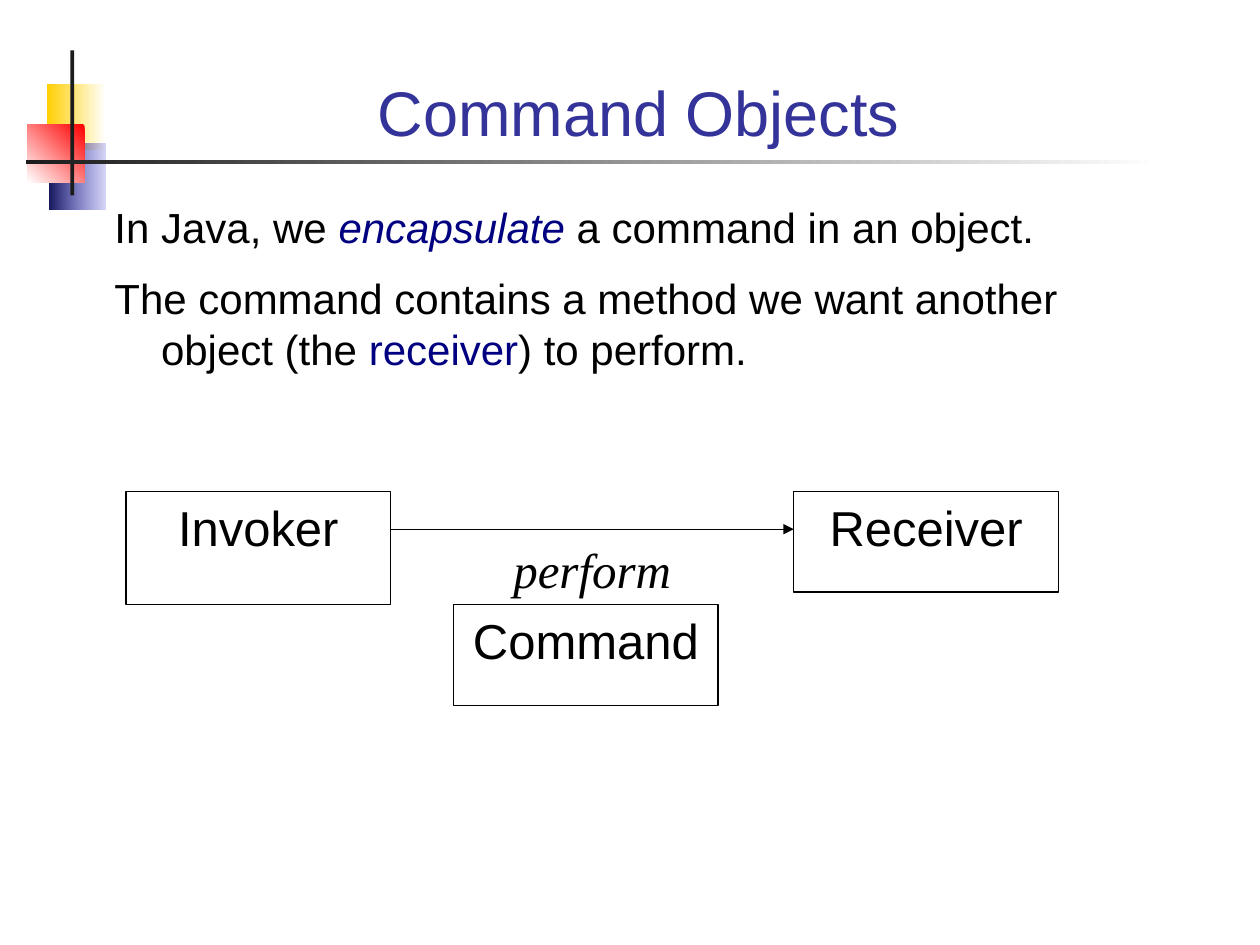
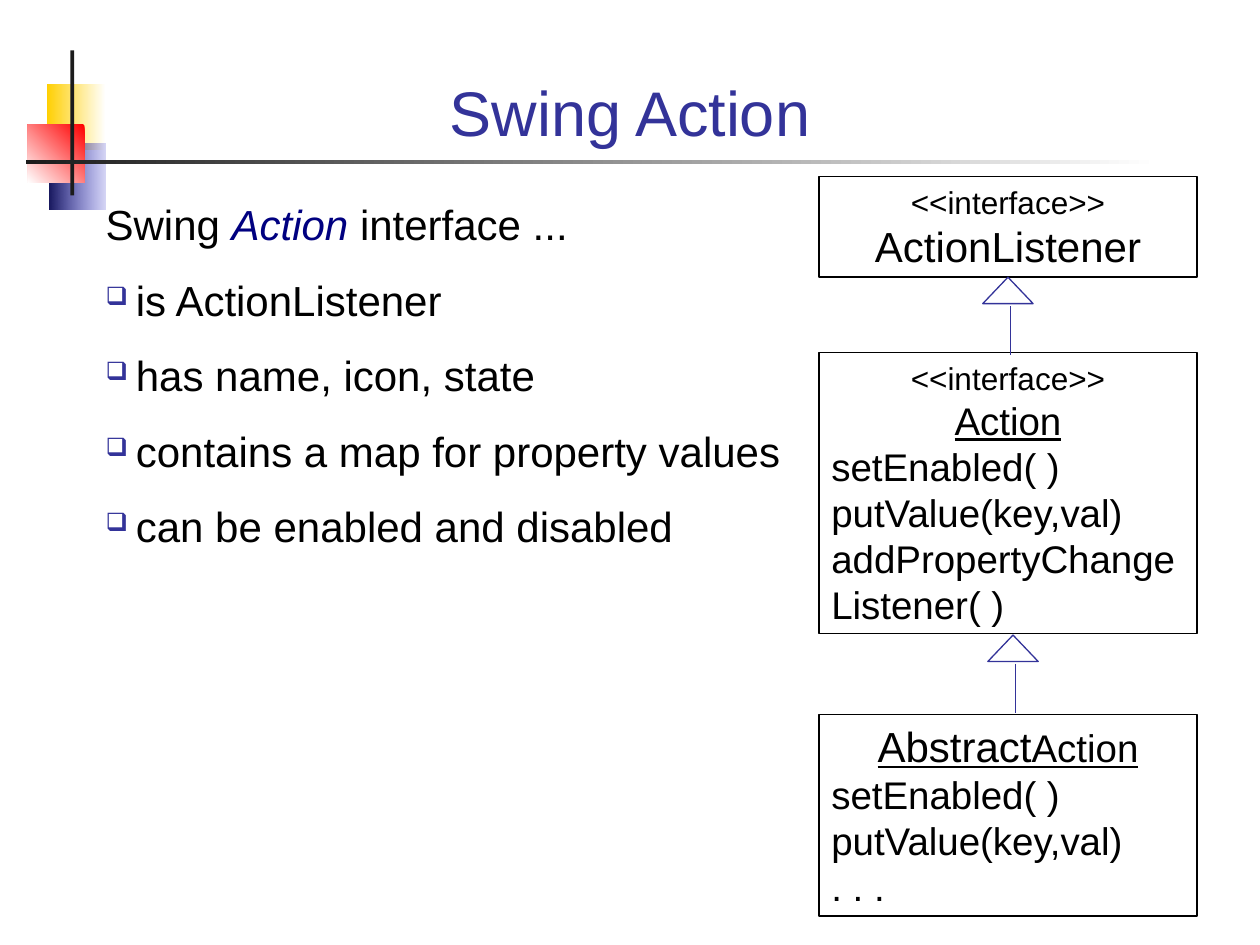
import pptx
import pptx.dml.color
import pptx.enum.shapes
import pptx.enum.text
import pptx.oxml.ns
import pptx.util
from lxml import etree

Inches = pptx.util.Inches
Pt = pptx.util.Pt
SHAPES = pptx.enum.shapes.MSO_SHAPE
CENTER = pptx.enum.text.PP_ALIGN.CENTER
LEFT = pptx.enum.text.PP_ALIGN.LEFT

# Shared look
BLACK, WHITE, NAVY, INDIGO, CHARCOAL = "000000", "FFFFFF", "000080", "333399", "1C1C1C"
TITLE_BOX = (0.67, 0.28, 8.66, 0.95)
TITLE_FORMAT = {"size": Pt(36), "color": INDIGO}
# Band: position, gradient ends (or one colour), angle, opacity of the first end
BANDS = [
    ((0.37, 0.67, 0.47, 0.52), (WHITE, "FFCF01"), 180, 100),
    ((0.39, 1.14, 0.45, 0.52), ("3333CC", "17175E"), 180, 20),
    ((0.22, 0.99, 0.45, 0.46), ("FF0000", WHITE), 225, 100),
    ((0.56, 0.4, 0.03, 1.15), (CHARCOAL,), None, 100),
    ((0.21, 1.27, 8.99, 0.03), (WHITE, CHARCOAL), 180, 100),
]

# Content: a paragraph is a list of (text, format) runs
BODY = {"size": Pt(24)}
TERM = {**BODY, "color": NAVY}
EMPHASIS = {**TERM, "italic": True}
NODE = {"size": Pt(28)}
STEREOTYPE = {"size": Pt(18)}
MEMBER = {"size": Pt(22)}
UNDERLINED = {**MEMBER, "underline": True}

COMMAND_TITLE = " Command Objects"
COMMAND_BODY = [
    [("In Java, we ", BODY), ("encapsulate", EMPHASIS), (" a command in an object.", BODY)],
    [("The command contains a method we want another object (the ", BODY),
     ("receiver", TERM), (") to perform.", BODY)],
]
COMMAND_NODES = [
    ("Invoker", (1, 3.9, 2.1, 0.9)),
    ("Receiver", (6.3, 3.9, 2.1, 0.8)),
    ("Command", (3.6, 4.8, 2.1, 0.8)),
]

SWING_TITLE = "Swing Action"
SWING_INTRO = [("Swing ", BODY), ("Action", EMPHASIS), (" interface ...", BODY)]
SWING_POINTS = [
    "is ActionListener",
    "has name, icon, state",
    "contains a map for property values",
    "can be enabled and disabled",
]
# Class box: top, height, centred heading paragraphs, members
CLASSES = [
    (1.4, 0.8, [[("<<interface>>", STEREOTYPE)], [("ActionListener", BODY)]], []),
    (2.8, 2.23, [[("<<interface>>", STEREOTYPE)], [("Action", UNDERLINED)]],
     ["setEnabled( )", "putValue(key,val)", "addPropertyChangeListener( )"]),
    (5.67, 1.6, [[("Abstract", {**BODY, "underline": True}), ("Action", UNDERLINED)]],
     ["setEnabled( )", "putValue(key,val)", ". . ."]),
]
INHERITANCE_ARROWS = [(7.84, 5.04), (7.8, 2.2)]


def color(value):
    return pptx.dml.color.RGBColor.from_string(value)


def add_element(parent, tag, **attributes):
    return etree.SubElement(parent, pptx.oxml.ns.qn(tag), attributes)


def place(shape, box):
    for name, value in zip(("left", "top", "width", "height"), box):
        setattr(shape, name, Inches(value))


def write_runs(paragraph, runs):
    for text, run_format in runs:
        run = paragraph.add_run()
        run.text = text
        settings = {"name": "Arial", "color": BLACK, **run_format}
        run.font.color.rgb = color(settings.pop("color"))
        for name, value in settings.items():
            setattr(run.font, name, value)


def write_text(shape, paragraphs, alignments, before=0, after=0):
    frame = shape.text_frame
    settings = {
        "word_wrap": True,
        "auto_size": pptx.enum.text.MSO_AUTO_SIZE.NONE,
        "vertical_anchor": pptx.enum.text.MSO_ANCHOR.TOP,
        "margin_left": Inches(0.1), "margin_right": Inches(0.1),
        "margin_top": Inches(0.05), "margin_bottom": Inches(0.05),
    }
    for name, value in settings.items():
        setattr(frame, name, value)
    for index, (runs, alignment) in enumerate(zip(paragraphs, alignments)):
        paragraph = frame.add_paragraph() if index else frame.paragraphs[0]
        paragraph_format = {
            "alignment": alignment,
            "line_spacing": 1.0,
            "space_before": Pt(before if index else 0),
            "space_after": Pt(after),
        }
        for name, value in paragraph_format.items():
            setattr(paragraph, name, value)
        write_runs(paragraph, runs)
    return frame


def add_text(slide, box, paragraphs, alignment=LEFT, **spacing):
    shape = slide.shapes.add_textbox(*map(Inches, box))
    return write_text(shape, paragraphs, [alignment] * len(paragraphs), **spacing)


def indent(paragraph, margin, first_line):
    properties = paragraph._p.get_or_add_pPr()
    properties.set("marL", str(Inches(margin)))
    properties.set("indent", str(Inches(first_line)))
    return properties


def add_outline(slide, box, preset=SHAPES.RECTANGLE, line=BLACK, fill=None):
    shape = slide.shapes.add_shape(preset, *map(Inches, box))
    shape.shadow.inherit = False
    if fill:
        shape.fill.solid()
        shape.fill.fore_color.rgb = color(fill)
    else:
        shape.fill.background()
    shape.line.color.rgb = color(line)
    shape.line.width = Pt(0.75)
    return shape


def add_line(slide, start, end, line):
    connector = slide.shapes.add_connector(
        pptx.enum.shapes.MSO_CONNECTOR.STRAIGHT, *map(Inches, start + end))
    connector.line.color.rgb = color(line)
    connector.line.width = Pt(0.75)
    add_element(connector._element.spPr, "a:effectLst")
    return connector


def add_band(slide, box, colors, angle, opacity):
    band = slide.shapes.add_shape(SHAPES.RECTANGLE, *map(Inches, box))
    band.shadow.inherit = False
    band.line.fill.background()
    if len(colors) == 1:
        band.fill.solid()
        band.fill.fore_color.rgb = color(colors[0])
        return
    band.fill.gradient()
    band.fill.gradient_angle = angle
    for stop, value in zip(band.fill.gradient_stops, colors):
        stop.color.rgb = color(value)
    if opacity < 100:
        first_color = band._element.spPr.find(".//" + pptx.oxml.ns.qn("a:srgbClr"))
        add_element(first_color, "a:alpha", val=str(opacity * 1000))


def add_slide(presentation, title):
    slide = presentation.slides.add_slide(presentation.slide_layouts[5])
    for band in BANDS:
        add_band(slide, *band)
    place(slide.shapes.title, TITLE_BOX)
    frame = write_text(slide.shapes.title, [[(title, TITLE_FORMAT)]], [CENTER])
    frame.vertical_anchor = pptx.enum.text.MSO_ANCHOR.BOTTOM
    return slide


def build_command_slide(presentation):
    slide = add_slide(presentation, COMMAND_TITLE)
    frame = add_text(slide, (0.8, 1.55, 8.66, 1.85), COMMAND_BODY, before=6, after=6)
    for paragraph in frame.paragraphs:
        indent(paragraph, 0.38, -0.37)

    # Invoker performs the command on the receiver
    for label, box in COMMAND_NODES:
        write_text(add_outline(slide, box), [[(label, NODE)]], [CENTER])
    arrow = add_line(slide, (3.1, 4.2), (6.3, 4.2), BLACK)
    add_element(arrow.line._get_or_add_ln(), "a:tailEnd", type="triangle")
    perform = {**NODE, "name": "Times New Roman", "italic": True}
    add_text(slide, (3.5, 4.23, 2.4, 0.57), [[("perform", perform)]], CENTER)


def build_swing_slide(presentation):
    slide = add_slide(presentation, SWING_TITLE)
    paragraphs = [SWING_INTRO] + [[(point, BODY)] for point in SWING_POINTS]
    frame = add_text(slide, (0.74, 1.53, 8.66, 3.77), paragraphs, before=14.3)
    for paragraph in frame.paragraphs[1:]:
        properties = indent(paragraph, 0.24, -0.24)
        bullet_color = add_element(properties, "a:buClr")
        add_element(bullet_color, "a:srgbClr", val=INDIGO)
        add_element(properties, "a:buSzPct", val="60000")
        add_element(properties, "a:buChar", char="❑")

    # Class diagram
    for top, height, heading, members in CLASSES:
        box = add_outline(slide, (6.5, top, 3, height))
        paragraphs = heading + [[(member, MEMBER)] for member in members]
        write_text(box, paragraphs, [CENTER] * len(heading) + [LEFT] * len(members))
    for left, top in INHERITANCE_ARROWS:
        add_outline(slide, (left, top, 0.4, 0.21), SHAPES.ISOSCELES_TRIANGLE, INDIGO, WHITE)
        stem = left + 0.22
        add_line(slide, (stem, top + 0.23), (stem, top + 0.62), INDIGO)


def main():
    presentation = pptx.Presentation()
    presentation.slide_width = Inches(10)
    presentation.slide_height = Inches(7.5)
    build_command_slide(presentation)
    build_swing_slide(presentation)
    presentation.save("out.pptx")


if __name__ == "__main__":
    main()
